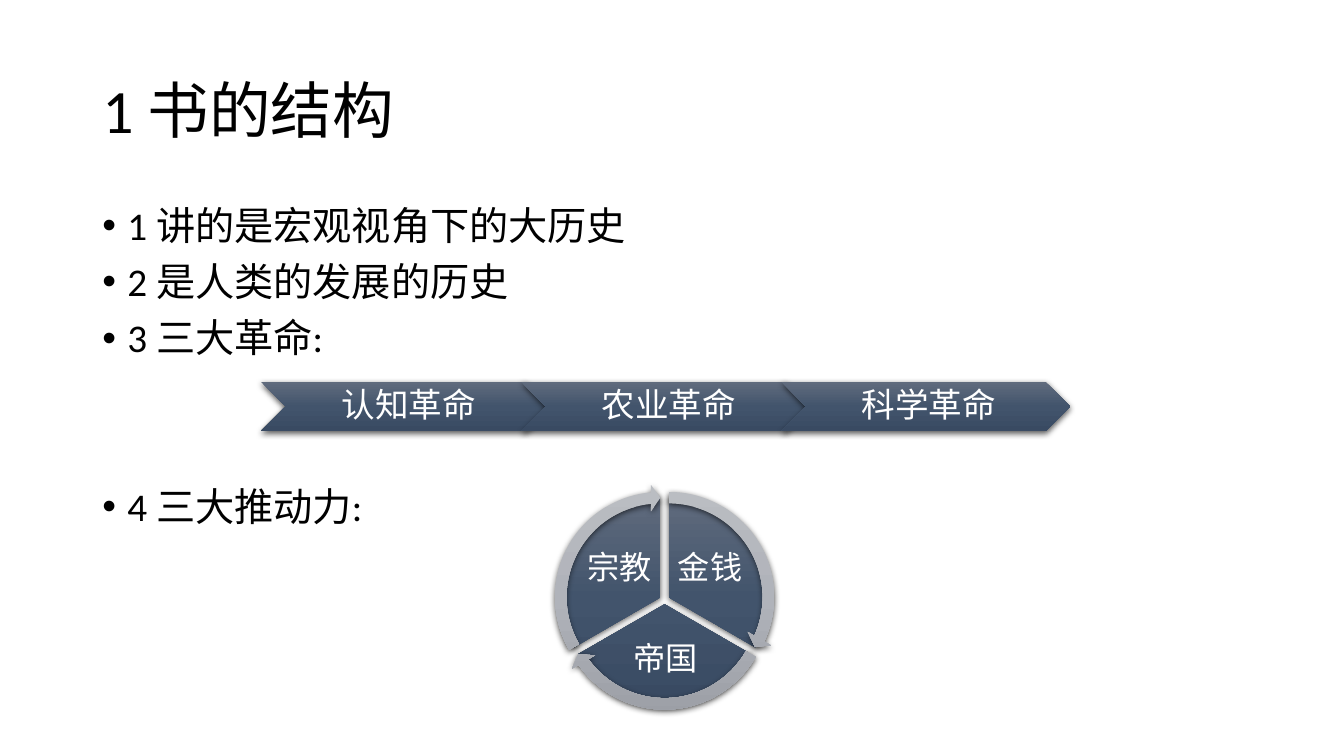
from lxml import etree
from pptx import Presentation
from pptx.dml.color import RGBColor
from pptx.enum.shapes import MSO_SHAPE
from pptx.enum.text import MSO_ANCHOR, PP_ALIGN
from pptx.oxml import parse_xml
from pptx.oxml.ns import qn
from pptx.util import Pt

CHEVRON, PIE, ARROW = MSO_SHAPE.CHEVRON, MSO_SHAPE.PIE, MSO_SHAPE.CIRCULAR_ARROW
TOP, MIDDLE = MSO_ANCHOR.TOP, MSO_ANCHOR.MIDDLE
LEFT, CENTER = PP_ALIGN.LEFT, PP_ALIGN.CENTER

BLACK = RGBColor(0x00, 0x00, 0x00)
WHITE = RGBColor(0xFF, 0xFF, 0xFF)
NAVY = [RGBColor(0x60, 0x6B, 0x7D), RGBColor(0x42, 0x54, 0x6C), RGBColor(0x39, 0x4A, 0x62)]
GRAY = [RGBColor(0xBA, 0xBD, 0xC2), RGBColor(0xB0, 0xB3, 0xBA), RGBColor(0x9C, 0x9F, 0xA6)]
FONT = "Calibri"
NAMESPACE = 'xmlns:a="http://schemas.openxmlformats.org/drawingml/2006/main"'

TITLE = "1 书的结构"
BULLETS = [
    ("1 讲的是宏观视角下的大历史", 10),
    ("2 是人类的发展的历史", 10),
    ("3 三大革命:", 10),
    ("4 三大推动力:", 90),
]
REVOLUTIONS = ["认知革命", "农业革命", "科学革命"]
FORCES = [
    dict(label="金钱", pie=(406.1, 355), angles=(162, 18),
         label_box=(481.7, 385.2, 51.1, 42.5), sweep=(14.725, 161.994)),
    dict(label="帝国", pie=(403.1, 360), angles=(18, 90),
         label_box=(437, 452.9, 77, 37.4), sweep=(86.72, 18.005)),
    dict(label="宗教", pie=(400.1, 355), angles=(90, 162),
         label_box=(416.9, 385.2, 51.1, 42.5), sweep=(158.73, 90)),
]

MARGIN_LEFT, CONTENT_WIDTH = 66, 828
CHEVRON_LEFT, CHEVRON_TOP, CHEVRON_STEP = 186.6, 273, 185.8
CHEVRON_WIDTH, CHEVRON_HEIGHT = 206.4, 34.6
PIE_SIZE, RING = 143.3, 9


def add_text(slide, text, box, size=28, color=BLACK, align=LEFT, anchor=TOP,
             insets=(7.2, 3.6, 7.2, 3.6), bullet=False):
    shape = slide.shapes.add_textbox(*map(Pt, box))
    frame = shape.text_frame
    frame.word_wrap = True
    frame.vertical_anchor = anchor
    frame.margin_left, frame.margin_top, frame.margin_right, frame.margin_bottom = map(Pt, insets)
    lines = [(text, 0)] if isinstance(text, str) else text
    for index, (line, space_before) in enumerate(lines):
        paragraph = frame.add_paragraph() if index else frame.paragraphs[0]
        paragraph.alignment = align
        paragraph.line_spacing = 0.9
        paragraph.space_before = Pt(space_before)
        run = paragraph.add_run()
        run.text = line
        run.font.name = FONT
        run.font.size = Pt(size)
        run.font.color.rgb = color
        if bullet:
            properties = paragraph._p.get_or_add_pPr()
            properties.set("marL", str(Pt(18)))
            properties.set("indent", str(-Pt(18)))
            etree.SubElement(properties, qn("a:buFont")).set("typeface", "Arial")
            etree.SubElement(properties, qn("a:buChar")).set("char", "•")


def add_glossy_shape(slide, kind, box, colors, adjustments=()):
    shape = slide.shapes.add_shape(kind, *map(Pt, box))
    for index, value in enumerate(adjustments):
        shape.adjustments[index] = value
    stops = "".join(
        f'<a:gs pos="{index * 50000}"><a:srgbClr val="{color}"/></a:gs>'
        for index, color in enumerate(colors))
    properties = shape._element.spPr
    properties.append(parse_xml(
        f'<a:gradFill {NAMESPACE} rotWithShape="1"><a:gsLst>{stops}</a:gsLst>'
        '<a:lin ang="5400000" scaled="0"/></a:gradFill>'))
    shape.line.fill.background()
    properties.append(parse_xml(
        f'<a:effectLst {NAMESPACE}><a:outerShdw blurRad="{Pt(4.5)}" dist="{Pt(1.5)}" '
        'dir="5400000" algn="ctr" rotWithShape="0"><a:srgbClr val="000000">'
        '<a:alpha val="63000"/></a:srgbClr></a:outerShdw></a:effectLst>'))


def add_revolutions(slide):
    notch = CHEVRON_HEIGHT / 2
    for index, label in enumerate(REVOLUTIONS):
        left = CHEVRON_LEFT + index * CHEVRON_STEP
        add_glossy_shape(slide, CHEVRON, (left, CHEVRON_TOP, CHEVRON_WIDTH, CHEVRON_HEIGHT), NAVY)
        add_text(slide, label,
                 (left + notch, CHEVRON_TOP, CHEVRON_WIDTH - 2 * notch, CHEVRON_HEIGHT),
                 size=24, color=WHITE, align=CENTER, anchor=MIDDLE, insets=(7.2, 2.9, 2.9, 2.9))


def add_forces(slide):
    for force in FORCES:
        add_glossy_shape(slide, PIE, (*force["pie"], PIE_SIZE, PIE_SIZE), NAVY, force["angles"])
        add_text(slide, force["label"], force["label_box"], size=23, color=WHITE,
                 align=CENTER, anchor=MIDDLE, insets=(2.2, 2.2, 2.2, 2.2))
    arrow_size = PIE_SIZE + 2 * RING
    for force in FORCES:
        left, top = force["pie"]
        add_glossy_shape(slide, ARROW, (left - RING, top - RING, arrow_size, arrow_size), GRAY,
                         (0.051, 3.275, *force["sweep"], 0.059))


def main():
    presentation = Presentation()
    presentation.slide_width, presentation.slide_height = Pt(960), Pt(540)
    slide = presentation.slides.add_slide(presentation.slide_layouts[6])
    add_text(slide, TITLE, (MARGIN_LEFT, 28.8, CONTENT_WIDTH, 104.4), size=44, anchor=MIDDLE)
    add_text(slide, BULLETS, (MARGIN_LEFT, 143.8, CONTENT_WIDTH, 342.6), bullet=True)
    add_revolutions(slide)
    add_forces(slide)
    presentation.save("out.pptx")


if __name__ == "__main__":
    main()
